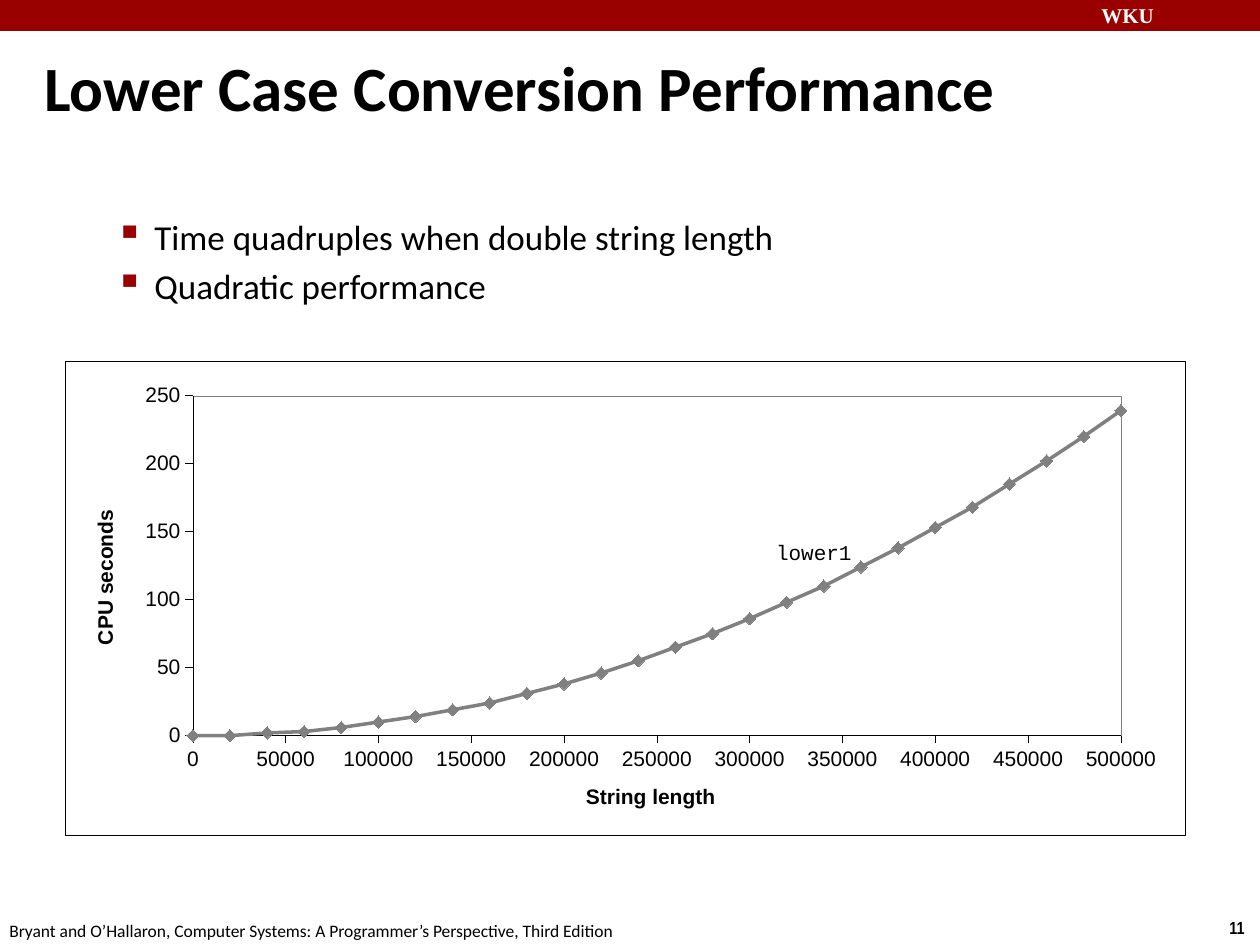
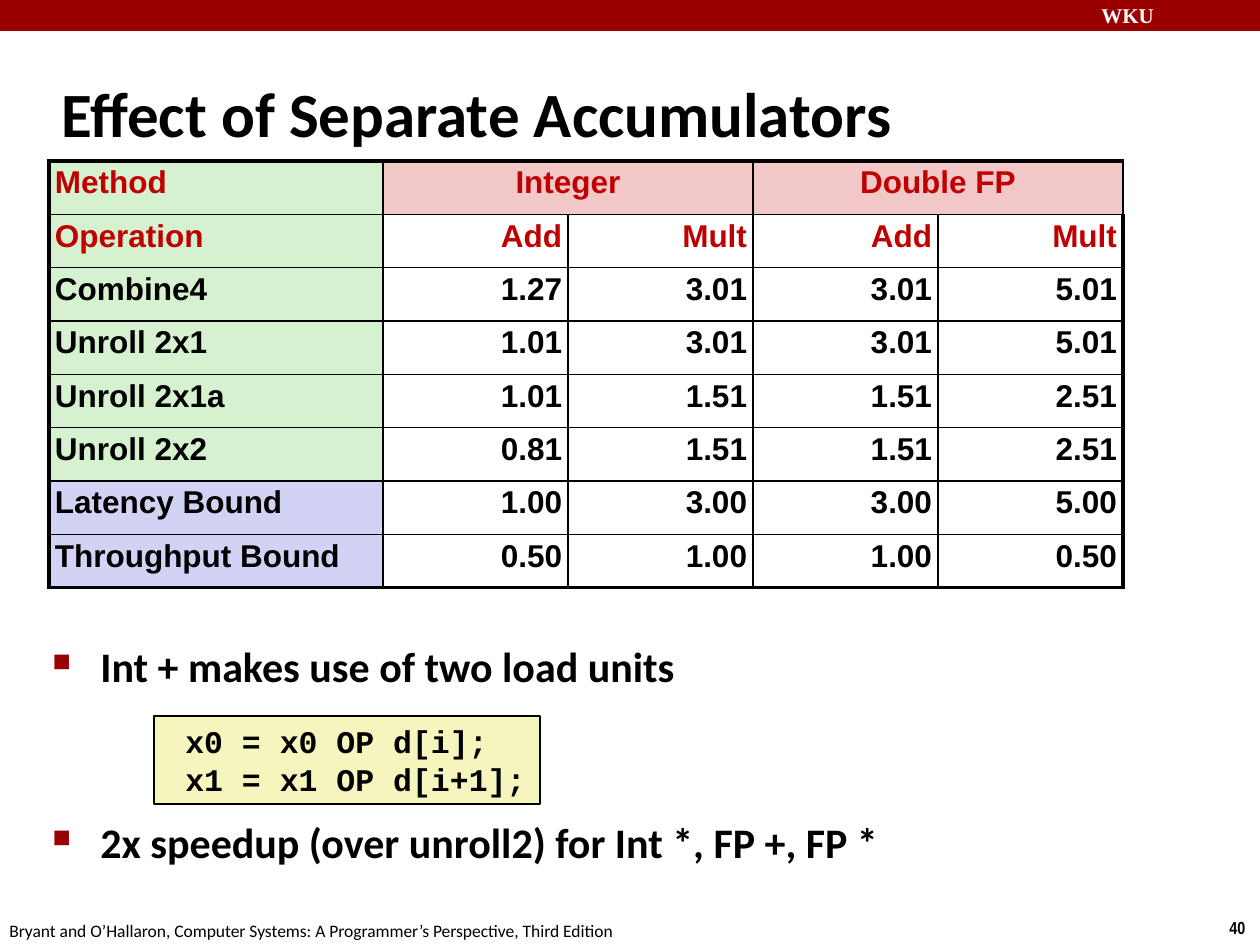
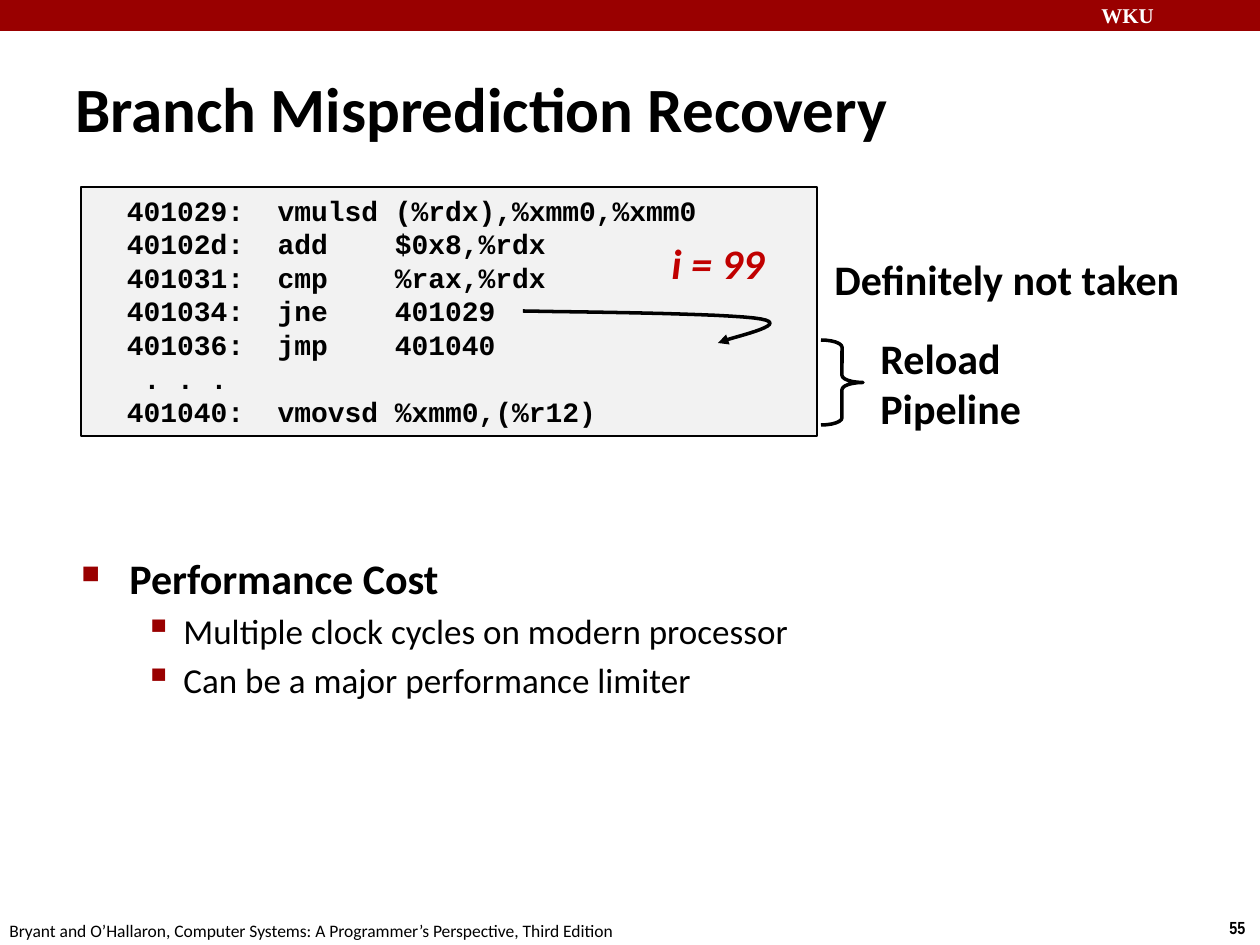
from lxml import etree
from pptx import Presentation
from pptx import oxml, util as u
from pptx.chart.data import XyChartData
from pptx.dml.color import RGBColor
from pptx.enum import chart as ch, shapes, text
from pptx.oxml.ns import nsdecls, qn

C = {"black": "000000", "white": "FFFFFF", "band": "990000", "red": "C00000",
     "green": "D5F1CF", "pink": "F1C7C7", "lilac": "D2D2F4", "yellow": "F6F5BD",
     "code": "F2F2F2", "curve": "808080", "marker": "333333"}
RGB = {k: RGBColor.from_string(v) for k, v in C.items()}
EMU = 914400 / 126
px = lambda *n: [round(v * EMU) for v in n]

# Run formats; "bullet" holds character, size %, text indent and hang in px
STYLE = {
    "title": dict(name="Calibri", size=36, bold=True),
    "head": dict(name="Calibri", size=24, bold=True, bullet=("■", 60, 48, 48)),
    "item": dict(name="Calibri", size=20, bullet=("▪", 110, 102, 39)),
    "label": dict(name="Calibri", size=24, bold=True),
    "note": dict(name="Calibri", size=24, bold=True, italic=True, color="red"),
    "code": dict(name="Courier New", size=16, bold=True),
    "bigcode": dict(name="Courier New", size=18, bold=True),
    "curve": dict(name="Courier New", size=12),
    "cell": dict(name="Arial", size=18, bold=True),
    "redcell": dict(name="Arial", size=18, bold=True, color="red"),
    "footer": dict(name="Calibri", size=10),
    "number": dict(name="Arial Narrow", size=10, bold=True),
    "school": dict(name="Times New Roman", size=12, bold=True, color="white"),
}


def write(tf, lines, gap=None, **frame):
    """Fill a text frame with (style, text) lines; gap overrides bullet spacing."""
    for key, value in frame.items():
        setattr(tf, key, value)
    for i, (style, line) in enumerate(lines):
        fmt = dict(STYLE[style])
        p = tf.paragraphs[0] if i == 0 else tf.add_paragraph()
        bullet, color = fmt.pop("bullet", None), fmt.pop("color", "black")
        if bullet:
            char, pct, left, hang = bullet
            pPr = p._p.get_or_add_pPr()
            pPr.set("marL", str(px(left)[0]))
            pPr.set("indent", str(-px(hang)[0]))
            clr = etree.SubElement(pPr, qn("a:buClr"))
            etree.SubElement(clr, qn("a:srgbClr"), val=C["band"])
            etree.SubElement(pPr, qn("a:buSzPct"), val=str(pct * 1000))
            etree.SubElement(pPr, qn("a:buChar"), char=char)
            if i:
                p.space_before = u.Pt(gap or fmt["size"] * 0.2)
        r = p.add_run()
        r.text = line
        fmt["size"] = u.Pt(fmt["size"])
        for key, value in fmt.items():
            setattr(r.font, key, value)
        r.font.color.rgb = RGB[color]


def shape(s, kind, box, fill=None, line=None):
    """Add a preset shape without shadow; line is a width in points."""
    sp = s.shapes.add_shape(kind, *px(*box))
    sp.shadow.inherit = False
    if fill:
        sp.fill.solid()
        sp.fill.fore_color.rgb = RGB[fill]
    else:
        sp.fill.background()
    if line:
        sp.line.color.rgb = RGB["black"]
        sp.line.width = u.Pt(line)
    else:
        sp.line.fill.background()
    return sp


RECT = shapes.MSO_SHAPE.RECTANGLE
LEFT = text.PP_ALIGN.LEFT
MIDDLE = dict(vertical_anchor=text.MSO_ANCHOR.MIDDLE, word_wrap=True)
WRAP = dict(word_wrap=True)
TIGHT = dict(word_wrap=False, auto_size=text.MSO_AUTO_SIZE.SHAPE_TO_FIT_TEXT)
CODE = dict(vertical_anchor=text.MSO_ANCHOR.TOP)
CITE = "Bryant and O’Hallaron, Computer Systems: A Programmer’s Perspective, Third Edition"

prs = Presentation()
prs.slide_width, prs.slide_height = px(1260, 945)

# Band, title, footer, page number and free text of every slide
pages = [
    ("11", "Lower Case Conversion Performance", (32, 47, 1196, 79), [
        ((40, 209, 1145, 125), [("item", "Time quadruples when double string length"),
                                ("item", "Quadratic performance")], WRAP)]),
    ("40", "Effect of Separate Accumulators", (49, 60, 1046, 105), [
        ((40, 634, 1145, 258), [("head", "Int + makes use of two load units"),
                                ("head", "2x speedup (over unroll2) for Int *, FP +, FP *")],
         dict(WRAP, gap=72))]),
    ("55", "Branch Misprediction Recovery", (63, 68, 1041, 79), [
        ((69, 546, 1104, 189), [("head", "Performance Cost"),
                                ("item", "Multiple clock cycles on modern processor"),
                                ("item", "Can be a major performance limiter")], WRAP)]),
]
slides = []
for number, title, title_box, bodies in pages:
    s = prs.slides.add_slide(prs.slide_layouts[6])
    slides.append(s)
    shape(s, RECT, (0, 0, 1260, 31), "band")
    for box, lines, frame in [
        ((1089, -4, 180, 38), [("school", "WKU")], WRAP),
        ((1217, 911, 43, 34), [("number", number)], TIGHT),
        ((-3, 914, 640, 34), [("footer", CITE)], TIGHT),
        (title_box, [("title", title)], MIDDLE),
        *bodies,
    ]:
        write(s.shapes.add_textbox(*px(*box)).text_frame, lines, **frame)
perf, accum, branch = slides

# Slide 1: running time against string length
seconds = [0, 0, 2, 3, 6, 10, 14, 19, 24, 31, 38, 46, 55, 65, 75, 86, 98, 110,
           124, 138, 153, 168, 185, 202, 220, 239]
data = XyChartData()
series = data.add_series("Series 1")
for i, sec in enumerate(seconds):
    series.add_data_point(i * 20000, sec)
chart = perf.shapes.add_chart(ch.XL_CHART_TYPE.XY_SCATTER_SMOOTH,
                              *px(65, 361, 1120, 474), data).chart
chart.has_legend = chart.has_title = False
chart.font.name, chart.font.size = "Arial", u.Pt(12)
chart.font.color.rgb = RGB["black"]

for axis, name, top, step in [(chart.category_axis, "String length", 500000, 50000),
                              (chart.value_axis, "CPU seconds", 250, 50)]:
    for key, value in dict(minimum_scale=0, maximum_scale=top, major_unit=step,
                           major_tick_mark=ch.XL_TICK_MARK.OUTSIDE,
                           minor_tick_mark=ch.XL_TICK_MARK.NONE,
                           has_major_gridlines=axis is chart.value_axis).items():
        setattr(axis, key, value)
    axis.tick_labels.number_format = "General"
    axis.tick_labels.number_format_is_linked = False
    lines = [axis.format.line]
    if axis.has_major_gridlines:
        lines.append(axis.major_gridlines.format.line)
    for line in lines:
        line.color.rgb, line.width = RGB["black"], u.Pt(0.25)
    tf = axis.axis_title.text_frame
    tf.text = name
    font = tf.paragraphs[0].runs[0].font
    font.name, font.size, font.bold = "Arial", u.Pt(12), True
    font.color.rgb = RGB["black"]

ser = chart.plots[0].series[0]
ser.smooth = True
ser.format.line.color.rgb, ser.format.line.width = RGB["curve"], u.Pt(2)
ser.marker.style, ser.marker.size = ch.XL_MARKER_STYLE.DIAMOND, 7
ser.marker.format.fill.solid()
ser.marker.format.fill.fore_color.rgb = RGB["marker"]
ser.marker.format.line.color.rgb = RGB["curve"]

# Fixed inner plot area, plus frames around plot and chart
space = chart._chartSpace
plot = space.find(".//" + qn("c:plotArea"))
for old in plot.findall(qn("c:layout")):
    plot.remove(old)
layout = etree.Element(qn("c:layout"))
manual = etree.SubElement(layout, qn("c:manualLayout"))
for tag, val in [("layoutTarget", "inner"), ("xMode", "edge"), ("yMode", "edge"),
                 ("x", "0.114"), ("y", "0.073"), ("w", "0.829"), ("h", "0.718")]:
    etree.SubElement(manual, qn("c:" + tag), val=val)
plot.insert(0, layout)
FRAME = ('<c:spPr %s><a:solidFill><a:srgbClr val="%s"/></a:solidFill><a:ln w="3175">'
         '<a:solidFill><a:srgbClr val="%s"/></a:solidFill></a:ln></c:spPr>')
for parent, color in [(plot, "curve"), (space, "black")]:
    frame = oxml.parse_xml(FRAME % (nsdecls("c", "a"), C["white"], C[color]))
    if parent is plot:
        plot.append(frame)
    else:
        space.find(qn("c:chart")).addnext(frame)

inset = px(4)[0]
write(perf.shapes.add_textbox(*px(772, 536, 81, 30)).text_frame, [("curve", "lower1")],
      margin_left=inset, margin_top=inset, margin_right=0, margin_bottom=0, **TIGHT)

# Slide 2: cycles per element
rows = [
    ("Method", "Integer", "", "Double FP", ""),
    ("Operation", "Add", "Mult", "Add", "Mult"),
    ("Combine4", "1.27", "3.01", "3.01", "5.01"),
    ("Unroll 2x1", "1.01", "3.01", "3.01", "5.01"),
    ("Unroll 2x1a", "1.01", "1.51", "1.51", "2.51"),
    ("Unroll 2x2", "0.81", "1.51", "1.51", "2.51"),
    ("Latency Bound", "1.00", "3.00", "3.00", "5.00"),
    ("Throughput Bound", "0.50", "1.00", "1.00", "0.50"),
]
last_row, last_col = len(rows) - 1, len(rows[0]) - 1
tbl = accum.shapes.add_table(len(rows), len(rows[0]), *px(49, 161, 1074, 427)).table
tbl.first_row = tbl.horz_banding = False
for c, width in enumerate(px(334, 185, 185, 185, 185)):
    tbl.columns[c].width = width
for row in tbl.rows:
    row.height = px(427)[0] // len(rows)
for c in (1, 3):
    tbl.cell(0, c).merge(tbl.cell(0, c + 1))

for r, row in enumerate(rows):
    for c, value in enumerate(row):
        cell = tbl.cell(r, c)
        for side in ("left", "top", "right", "bottom"):
            setattr(cell, "margin_" + side, px(6)[0])
        if c == 0:
            fill, align = "green" if r < 6 else "lilac", LEFT
        elif r == 0:
            fill, align = "pink", text.PP_ALIGN.CENTER
        else:
            fill, align = "white", text.PP_ALIGN.RIGHT
        cell.fill.solid()
        cell.fill.fore_color.rgb = RGB[fill]
        if value:
            write(cell.text_frame, [("redcell" if r < 2 else "cell", value)])
        p = cell.text_frame.paragraphs[0]
        p.alignment, p.line_spacing = align, 0.95
        # Thin inner rules, thick outer edge
        edges = [("L", c == 0), ("R", c == last_col), ("T", r == 0), ("B", r == last_row)]
        for i, (side, outer) in enumerate(edges):
            ln = etree.Element(qn("a:ln" + side), w=str(u.Pt(2.25 if outer else 1)))
            solid = etree.SubElement(ln, qn("a:solidFill"))
            etree.SubElement(solid, qn("a:srgbClr"), val=C["black"])
            cell._tc.get_or_add_tcPr().insert(i, ln)

# Code boxes of slides 2 and 3
listings = [
    (accum, (154, 716, 386, 88), "yellow", "bigcode", False,
     [" x0 = x0 OP d[i];",
      " x1 = x1 OP d[i+1];"]),
    (branch, (81, 187, 736, 249), "code", "code", True,
     ["  401029:  vmulsd (%rdx),%xmm0,%xmm0",
      "  40102d:  add    $0x8,%rdx",
      "  401031:  cmp    %rax,%rdx",
      "  401034:  jne    401029",
      "  401036:  jmp    401040",
      "   . . .",
      "  401040:  vmovsd %xmm0,(%r12)"]),
]
for s, box, fill, style, wrap, code in listings:
    tf = shape(s, RECT, box, fill, 1).text_frame
    write(tf, [(style, line) for line in code], word_wrap=wrap, **CODE)
    for p in tf.paragraphs:
        p.alignment = LEFT

# Slide 3: jump arrow as two cubic curves
curves = [[(523, 311), (563, 312), (728, 313), (761, 319)],
          [(761, 319), (794, 325), (727, 338), (718, 343)]]
steps = 16
points = []
for curve in curves:
    for k in range(1, steps + 1):
        t = k / steps
        weights = [(1 - t) ** 3, 3 * t * (1 - t) ** 2, 3 * t * t * (1 - t), t ** 3]
        points.append(px(*(sum(w * pt[d] for w, pt in zip(weights, curve)) for d in (0, 1))))
builder = branch.shapes.build_freeform(*px(*curves[0][0]))
builder.add_line_segments(points, close=False)
jump = builder.convert_to_shape()
jump.shadow.inherit = False
jump.fill.background()
jump.line.color.rgb, jump.line.width = RGB["black"], u.Pt(2)
etree.SubElement(jump.line._get_or_add_ln(), qn("a:tailEnd"), type="triangle")

# Brace and labels beside the code
brace = shape(branch, shapes.MSO_SHAPE.RIGHT_BRACE, (821, 340, 42, 85), line=2)
brace.adjustments[0], brace.adjustments[1] = 0.17, 0.5
for box, lines in [((659, 231, 118, 63), [("note", "i = 99")]),
                   ((822, 247, 374, 63), [("label", "Definitely not taken")]),
                   ((868, 326, 168, 115), [("label", "Reload"), ("label", "Pipeline")])]:
    write(branch.shapes.add_textbox(*px(*box)).text_frame, lines, **TIGHT)

prs.save("out.pptx")
